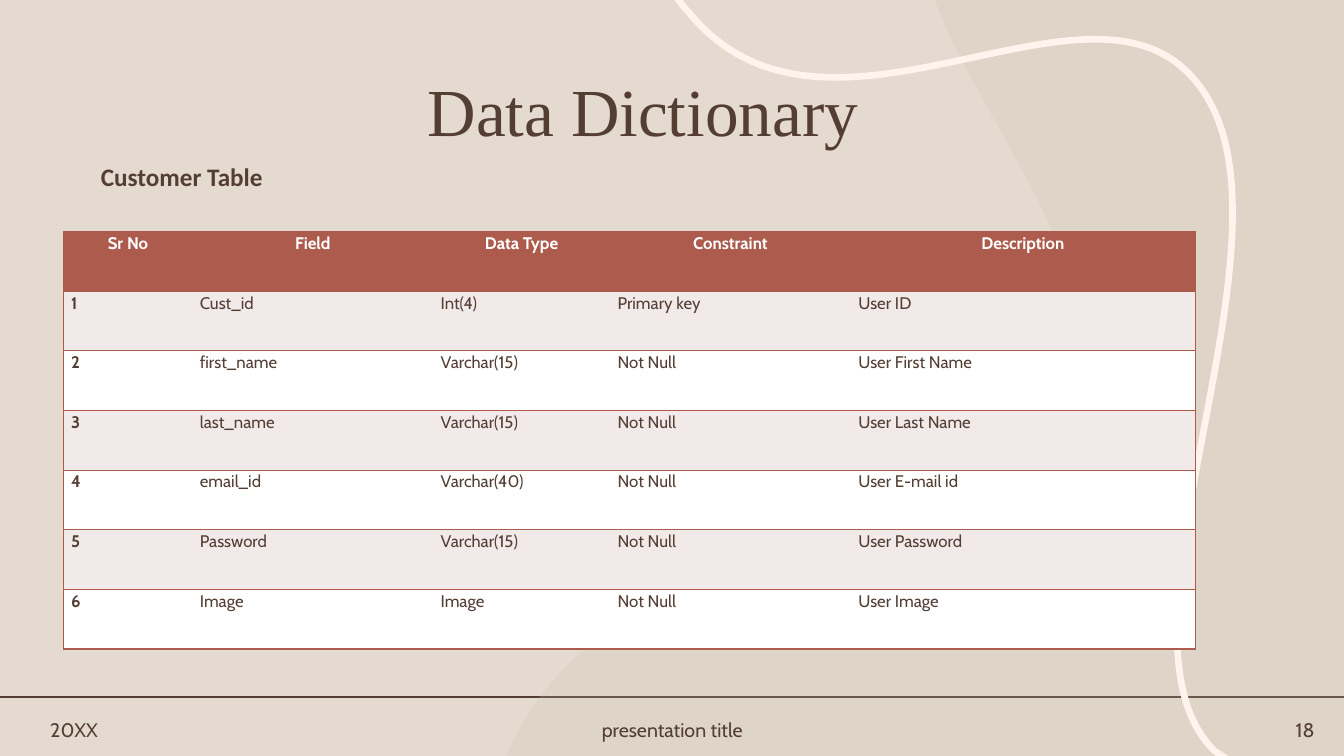
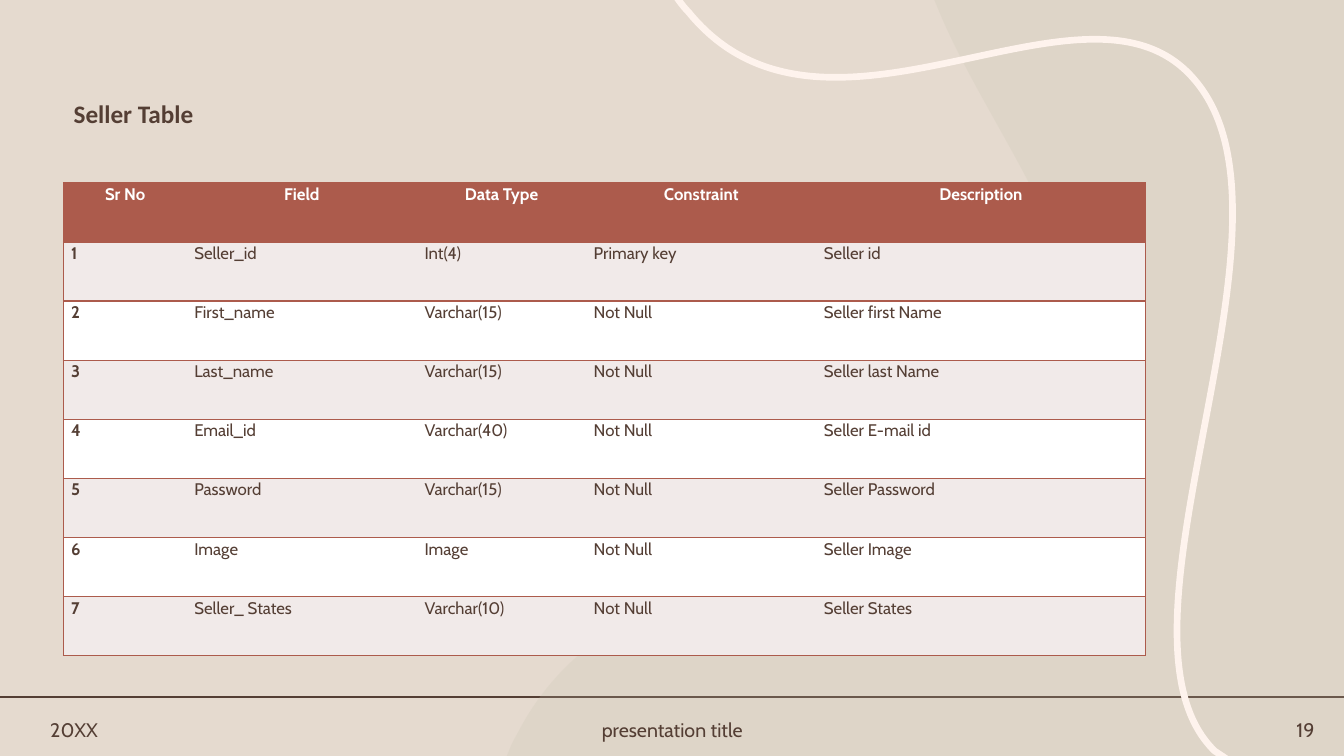
from pptx import Presentation
from pptx.dml.color import RGBColor
from pptx.enum.shapes import MSO_CONNECTOR
from pptx.enum.text import MSO_ANCHOR as ANCHOR, MSO_AUTO_SIZE as AUTO, PP_ALIGN as AL
from pptx.oxml.ns import qn
from pptx.util import Pt
from lxml.etree import SubElement

SAND = RGBColor(0xE5, 0xDA, 0xCF)
OLIVE = RGBColor(0xC6, 0xC4, 0xAF)
CREAM = RGBColor(0xFE, 0xF3, 0xED)
BROWN = RGBColor(0x54, 0x3E, 0x34)
RUST = RGBColor(0xAC, 0x5B, 0x4C)
BLUSH = RGBColor(0xF1, 0xEA, 0xE9)
WHITE = RGBColor(0xFF, 0xFF, 0xFF)

NO_STYLE = "{2D5ABB26-0587-4C30-8999-92F81FD0307C}"
HEADER = ("Sr No", "Field", "Data Type", "Constraint", "Description")
COL_WIDTHS = (92, 172, 126.4, 172, 246)
LEFT = 45.4

# Each segment is a line end (x, y) or a cubic curve (two controls and an end)
BLOB = [(667.4, 0), (960, 0), (960, 540), (362, 540), (365, 532.8),
        (368, 526.3, 370.8, 522, 372.2, 519.1),
        (454.3, 368.6, 692.6, 416.2, 757.4, 301.7),
        (808.6, 213.1, 711.4, 105.1, 671, 8.6)]
WAVE = [(876.2, 542.2), (874.1, 540.7), (867.6, 536.4),
        (780.5, 451.4, 941, 158.4, 853.2, 56.9),
        (776.2, -33.8, 590.4, 129.6, 491.8, 8.6),
        (489.6, 6.5, 486.7, 2.9, 483.1, -2.2)]

SLIDES = [
    dict(title="Data Dictionary", subtitle="Customer Table", number="18",
         top=165.5, width=808.4, row_height=42.6, rows=[
             ("Cust_id", "Int(4)", "Primary key", "User ID"),
             ("first_name", "Varchar(15)", "Not Null", "User First Name"),
             ("last_name", "Varchar(15)", "Not Null", "User Last Name"),
             ("email_id", "Varchar(40)", "Not Null", "User E-mail id"),
             ("Password", "Varchar(15)", "Not Null", "User Password"),
             ("Image", "Image", "Not Null", "User Image")]),
    dict(title="Seller Table", subtitle=None, number="19",
         top=130.7, width=773, row_height=42.18, rows=[
             ("Seller_id", "Int(4)", "Primary key", "Seller id"),
             ("First_name", "Varchar(15)", "Not Null", "Seller first Name"),
             ("Last_name", "Varchar(15)", "Not Null", "Seller last Name"),
             ("Email_id", "Varchar(40)", "Not Null", "Seller E-mail id"),
             ("Password", "Varchar(15)", "Not Null", "Seller Password"),
             ("Image", "Image", "Not Null", "Seller Image"),
             ("Seller_ States", "Varchar(10)", "Not Null", "Seller States")]),
]


def write(tf, text, size, font="Cabin", color=BROWN, bold=False,
          align=AL.LEFT, spacing=1.0, after=0):
    p = tf.paragraphs[0]
    p.alignment, p.line_spacing, p.space_after = align, spacing, Pt(after)
    r = p.add_run()
    r.text = text
    r.font.size, r.font.name, r.font.bold = Pt(size), font, bold
    r.font.color.rgb = color


def trace(shapes, segments, close):
    ends = [(Pt(seg[-2]), Pt(seg[-1])) for seg in segments]
    fb = shapes.build_freeform(*ends[0])
    fb.add_line_segments(ends[1:], close=close)
    sp = fb.convert_to_shape()
    sp.shadow.inherit = False
    # Turn the straight segments that have control points into curves
    for step, seg in zip(list(sp.element.iter(qn("a:lnTo"))), segments[1:]):
        if len(seg) == 6:
            step.tag = qn("a:cubicBezTo")
            for i in (0, 2):
                pt = SubElement(step, qn("a:pt"), x=str(Pt(seg[i]) - sp.left),
                                y=str(Pt(seg[i + 1]) - sp.top))
                step.insert(i // 2, pt)
    return sp


prs = Presentation()
prs.slide_width, prs.slide_height = Pt(960), Pt(540)

# Layout: background and title position
layout = prs.slide_layouts[5]
layout.background.fill.solid()
layout.background.fill.fore_color.rgb = SAND
for ph in list(layout.placeholders)[1:]:
    ph.element.getparent().remove(ph.element)
ph = layout.placeholders[0]
ph.left, ph.top, ph.width, ph.height = Pt(LEFT), Pt(55.4), Pt(828), Pt(53.3)

for n, data in enumerate(SLIDES):
    slide = prs.slides.add_slide(layout)
    shapes = slide.shapes

    # Shared decoration, drawn once and moved to the layout
    if n == 0:
        rule = shapes.add_connector(MSO_CONNECTOR.STRAIGHT, 0, Pt(498), Pt(960), Pt(498))
        rule.line.color.rgb, rule.line.width = BROWN, Pt(1.25)
        SubElement(rule.element.spPr, qn("a:effectLst"))
        blob = trace(shapes, BLOB, close=True)
        blob.fill.solid()
        blob.fill.fore_color.rgb = OLIVE
        clr = blob.element.spPr.find(qn("a:solidFill"))[0]
        SubElement(clr, qn("a:alpha")).set("val", "20000")
        blob.line.fill.background()
        wave = trace(shapes, WAVE, close=False)
        wave.fill.background()
        wave.line.color.rgb, wave.line.width = CREAM, Pt(4.75)
        for sp in (rule, blob, wave):
            layout.shapes.element.append(sp.element)

    # Title and subtitle
    tf = shapes.title.text_frame
    tf.auto_size, tf.vertical_anchor = AUTO.NONE, ANCHOR.MIDDLE
    if data["subtitle"]:
        write(tf, data["title"], 48, "Times New Roman", align=AL.CENTER, spacing=0.9)
        tf = shapes.add_textbox(Pt(28.8), Pt(108.7), Pt(480), Pt(31)).text_frame
        tf.word_wrap, tf.margin_left = True, Pt(43.2)
        write(tf, data["subtitle"], 18, "Calibri", bold=True, spacing=1.15, after=10)
    else:
        write(tf, data["title"], 18, "Calibri", bold=True, spacing=0.9)

    # Table
    rows = [HEADER] + [(str(i), *row) for i, row in enumerate(data["rows"], 1)]
    width, height = data["width"], data["row_height"]
    frame = shapes.add_table(len(rows), len(HEADER), Pt(LEFT), Pt(data["top"]),
                             Pt(width), Pt(height * len(rows)))
    next(frame.element.iter(qn("a:tableStyleId"))).text = NO_STYLE
    table = frame.table
    for col, w in zip(table.columns, COL_WIDTHS):
        col.width = Pt(w * width / sum(COL_WIDTHS))
    for i, row in enumerate(rows):
        table.rows[i].height = Pt(height)
        for j, text in enumerate(row):
            cell = table.cell(i, j)
            cell.margin_left = cell.margin_right = Pt(5.4)
            cell.margin_top = cell.margin_bottom = 0
            write(cell.text_frame, text, 12, color=BROWN if i else WHITE,
                  bold=i == 0 or j == 0, align=AL.LEFT if i else AL.CENTER,
                  spacing=1.07, after=8)
            # Horizontal rules everywhere, vertical ones only at the outer edges
            sides = ["lnL"] * (j == 0) + ["lnR"] * (j == len(row) - 1) + ["lnT", "lnB"]
            for side in sides:
                ln = SubElement(cell._tc.get_or_add_tcPr(), qn("a:" + side), w=str(Pt(1)))
                fill = SubElement(ln, qn("a:solidFill"))
                SubElement(fill, qn("a:srgbClr"), val=str(RUST))
            cell.fill.solid()
            cell.fill.fore_color.rgb = RUST if i == 0 else BLUSH if i % 2 else WHITE

    # Footer
    for text, x, w, align in (("20XX", 28.8, 77.8, AL.LEFT),
                              ("presentation title", 344.9, 270.7, AL.CENTER),
                              (data["number"], 868.3, 77.8, AL.RIGHT)):
        tf = shapes.add_textbox(Pt(x), Pt(509), Pt(w), Pt(24.5)).text_frame
        tf.word_wrap, tf.vertical_anchor = True, ANCHOR.MIDDLE
        write(tf, text, 14, align=align)

prs.save("out.pptx")
